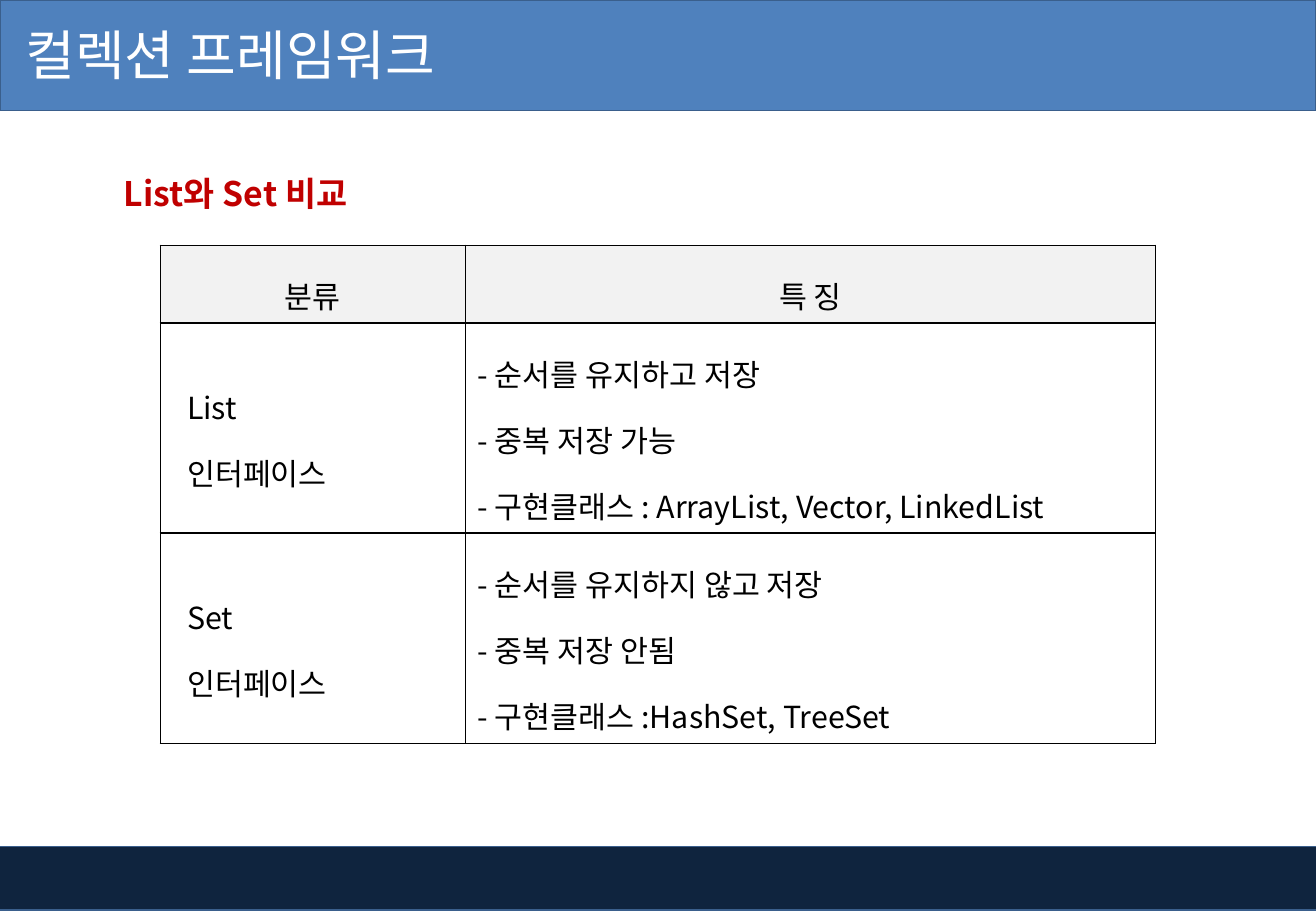
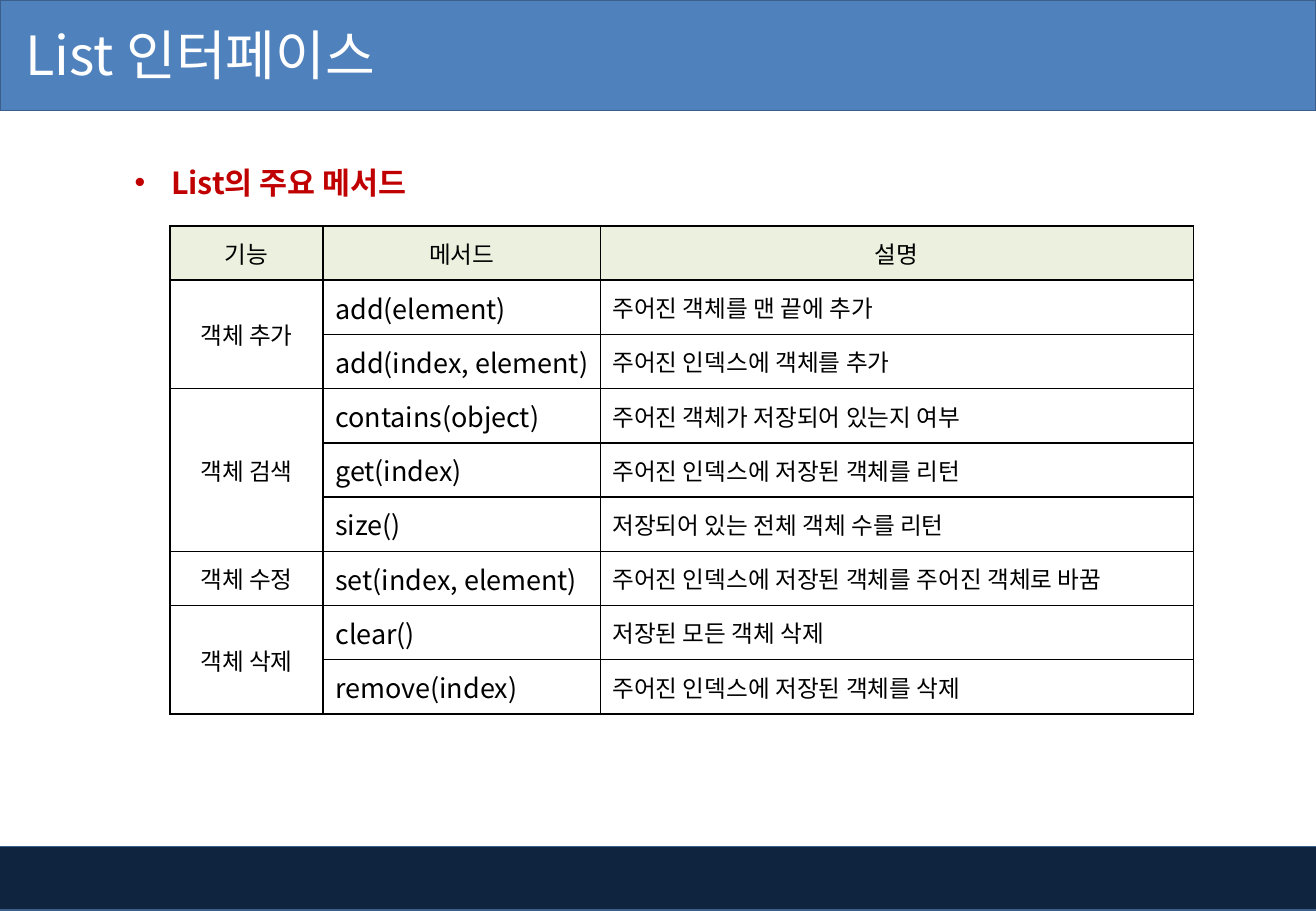
from lxml import etree
from pptx import Presentation
from pptx.dml.color import RGBColor
from pptx.enum import shapes, text
from pptx.oxml import ns
from pptx.util import Inches, Pt

FONT = "Noto Sans CJK KR"
BLACK = RGBColor(0x00, 0x00, 0x00)
WHITE = RGBColor(0xFF, 0xFF, 0xFF)
RED = RGBColor(0xC0, 0x00, 0x00)
BLUE = RGBColor(0x4F, 0x81, 0xBD)
NAVY = RGBColor(0x0F, 0x24, 0x3E)
BAND_EDGE = RGBColor(0x3A, 0x5F, 0x8C)
GRAY = RGBColor(0xF2, 0xF2, 0xF2)
PALE_GREEN = RGBColor(0xEB, 0xF1, 0xDE)
LEFT, CENTER = text.PP_ALIGN.LEFT, text.PP_ALIGN.CENTER


def write_text(frame, content, size, color=BLACK, bold=False, bullet=None, indent=0, **layout):
    """Fill a frame, one paragraph per line; layout holds paragraph attributes."""
    frame.text = content
    for paragraph in frame.paragraphs:
        if bullet:
            properties = paragraph._p.get_or_add_pPr()
            properties.set("marL", str(Inches(indent)))
            properties.set("indent", str(-Inches(indent)))
            etree.SubElement(properties, ns.qn("a:buFont"), typeface="Arial")
            etree.SubElement(properties, ns.qn("a:buChar"), char=bullet)
        for name, value in layout.items():
            setattr(paragraph, name, value)
        for run in paragraph.runs:
            font_format = {"name": FONT, "size": Pt(size), "bold": bold}
            for name, value in font_format.items():
                setattr(run.font, name, value)
            run.font.color.rgb = color
            east_asian = etree.Element(ns.qn("a:ea"), typeface=FONT)
            run._r.get_or_add_rPr().find(ns.qn("a:latin")).addnext(east_asian)


def format_cell(cell, fill=None):
    """Give a cell thin black borders, a fill and middle anchoring."""
    properties = cell._tc.get_or_add_tcPr()
    for side in ("lnL", "lnR", "lnT", "lnB"):
        border = etree.SubElement(properties, ns.qn(f"a:{side}"), w=str(Pt(1)))
        solid = etree.SubElement(border, ns.qn("a:solidFill"))
        etree.SubElement(solid, ns.qn("a:srgbClr"), val=str(BLACK))
    if fill is None:
        cell.fill.background()
    else:
        cell.fill.solid()
        cell.fill.fore_color.rgb = fill
    cell.vertical_anchor = text.MSO_ANCHOR.MIDDLE


prs = Presentation()
prs.slide_width, prs.slide_height = Inches(10.83), Inches(7.5)
title_only = prs.slide_layouts[5]
comparison = prs.slides.add_slide(title_only)
methods = prs.slides.add_slide(title_only)

# Shared bands live on the layout
bands = [
    (-0.04, 6.97, 10.88, 0.52, NAVY),
    (0, 0, 10.83, 0.91, BLUE),
]
for number, (*box, color) in enumerate(bands):
    band = comparison.shapes.add_shape(shapes.MSO_SHAPE.RECTANGLE, *map(Inches, box))
    band.shadow.inherit = False
    band.fill.solid()
    band.fill.fore_color.rgb = color
    band.line.color.rgb = BAND_EDGE
    band.line.width = Pt(1)
    band.element.nvSpPr.cNvPr.set("id", str(20 + number))
    title_only.shapes.element.insert(2 + number, band.element)

# Titles and red headings
headings = [
    (comparison, "컬렉션 프레임워크", "List와 Set 비교",
     (0.79, 1.21, 5.49, 0.57), 0.23, {"size": 20}),
    (methods, "List 인터페이스", "List의 주요 메서드",
     (1.01, 1.15, 5.17, 0.55), 0.1, {"size": 18, "bullet": "•", "indent": 0.3}),
]
for slide, title_text, heading_text, box, margin, style in headings:
    title = slide.shapes.title
    title.left, title.top, title.width, title.height = map(Inches, (0, -0.03, 6.78, 0.94))
    frame_format = {
        "margin_left": Inches(0.21),
        "vertical_anchor": text.MSO_ANCHOR.MIDDLE,
        "auto_size": text.MSO_AUTO_SIZE.NONE,
    }
    for name, value in frame_format.items():
        setattr(title.text_frame, name, value)
    write_text(title.text_frame, title_text, 32, WHITE, alignment=LEFT)

    heading = slide.shapes.add_textbox(*map(Inches, box)).text_frame
    heading.word_wrap = True
    heading.margin_left = Inches(margin)
    write_text(heading, heading_text, color=RED, bold=True, line_spacing=1.5, **style)

# List and Set comparison
comparison_rows = [
    ("분류", "특 징"),
    ("List\n인터페이스",
     "- 순서를 유지하고 저장\n- 중복 저장 가능\n- 구현클래스 : ArrayList, Vector, LinkedList"),
    ("Set\n인터페이스",
     "- 순서를 유지하지 않고 저장\n- 중복 저장 안됨\n- 구현클래스 :HashSet, TreeSet"),
]
# Methods by purpose
method_groups = [
    ("객체 추가", [
        ("add(element)", "주어진 객체를 맨 끝에 추가"),
        ("add(index, element)", "주어진 인덱스에 객체를 추가"),
    ]),
    ("객체 검색", [
        ("contains(object)", "주어진 객체가 저장되어 있는지 여부"),
        ("get(index)", "주어진 인덱스에 저장된 객체를 리턴"),
        ("size()", "저장되어 있는 전체 객체 수를 리턴"),
    ]),
    ("객체 수정", [
        ("set(index, element)", "주어진 인덱스에 저장된 객체를 주어진 객체로 바꿈"),
    ]),
    ("객체 삭제", [
        ("clear()", "저장된 모든 객체 삭제"),
        ("remove(index)", "주어진 인덱스에 저장된 객체를 삭제"),
    ]),
]
method_rows = [("기능", "메서드", "설명")]
for purpose, entries in method_groups:
    for position, entry in enumerate(entries):
        method_rows.append((purpose if position == 0 else "", *entry))

tables = [
    (comparison, comparison_rows, (1.32, 2.02, 8.19, 4.1), (2.51, 5.68), GRAY,
     {"line_spacing": 1.5}, (18, 18), (LEFT, LEFT)),
    (methods, method_rows, (1.4, 1.86, 8.43, 4.02), (1.26, 2.28, 4.88), PALE_GREEN,
     {}, (14, 16, 14), (CENTER, LEFT, LEFT)),
]
grids = []
for slide, rows, box, widths, header_fill, spacing, sizes, alignments in tables:
    grid = slide.shapes.add_table(len(rows), len(widths), *map(Inches, box)).table
    grid.first_row = grid.horz_banding = False
    for column, width in zip(grid.columns, widths):
        column.width = Inches(width)
    for r, row in enumerate(rows):
        for c, content in enumerate(row):
            cell = grid.cell(r, c)
            format_cell(cell, header_fill if r == 0 else None)
            size, alignment = (sizes[0], CENTER) if r == 0 else (sizes[c], alignments[c])
            if content:
                write_text(cell.text_frame, content, size, alignment=alignment, **spacing)
    grids.append(grid)

comparison_grid, method_grid = grids
for r, height in enumerate((0.64, 1.73, 1.73)):
    comparison_grid.rows[r].height = Inches(height)
    if r > 0:
        comparison_grid.cell(r, 0).margin_left = Inches(0.22)
for r in range(1, len(method_rows)):
    method_grid.cell(r, 1).margin_right = Inches(0.05)

first = 1
for purpose, entries in method_groups:
    last = first + len(entries) - 1
    if last > first:
        method_grid.cell(first, 0).merge(method_grid.cell(last, 0))
    first = last + 1

prs.save("out.pptx")
